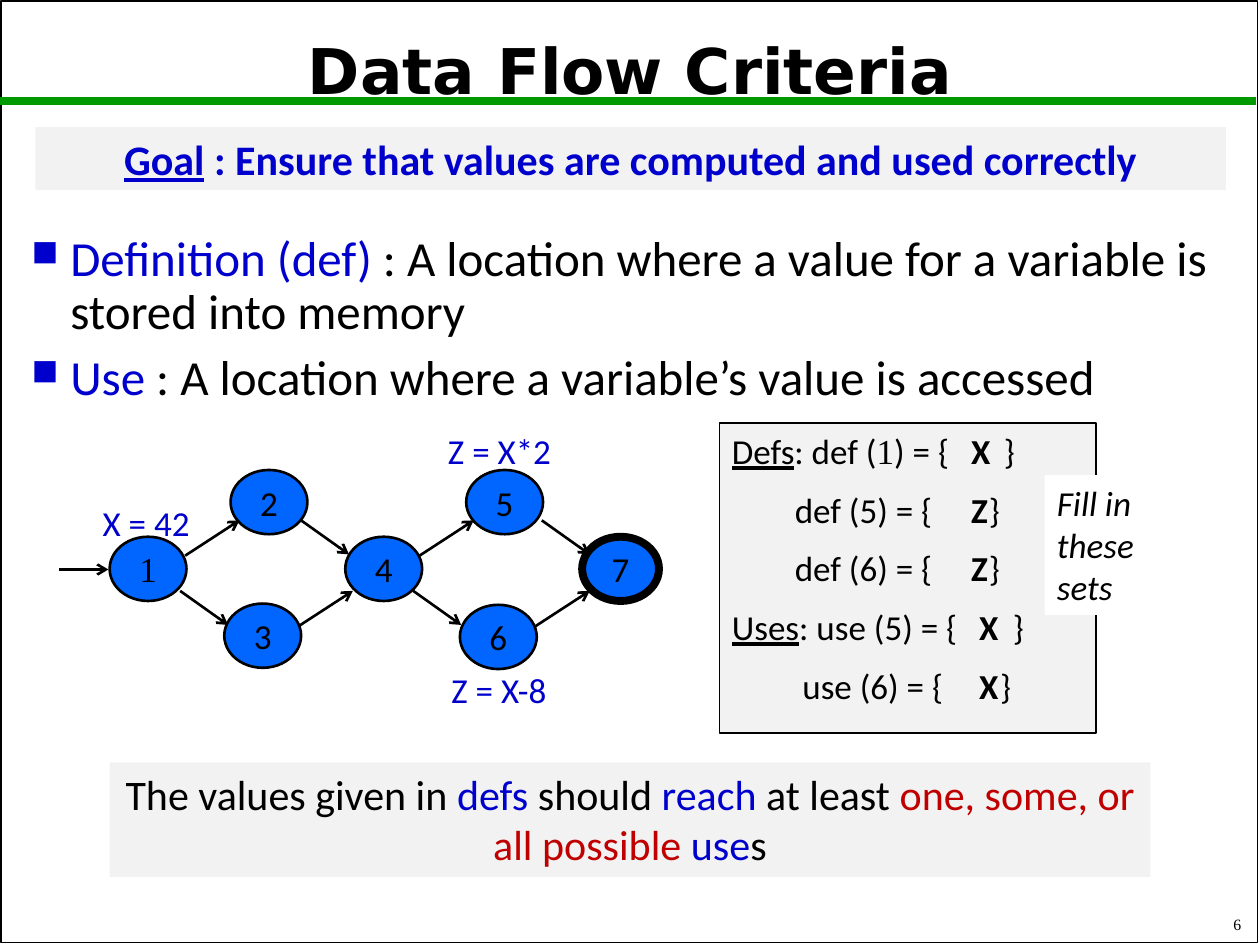
import pptx
import pptx.util
import pptx.dml.color
import pptx.enum.shapes
import pptx.enum.text
import pptx.oxml
import pptx.oxml.ns
from pptx.util import Inches

HUES = {"ink": "000000", "blue": "0000CC", "red": "C00000", "green": "009900",
        "node": "0066FF", "panel": "F2F2F2", "white": "FFFFFF"}
ALIGN = pptx.enum.text.PP_ALIGN
ANCHOR = pptx.enum.text.MSO_ANCHOR
SHAPE = pptx.enum.shapes.MSO_SHAPE
LINK = pptx.enum.shapes.MSO_CONNECTOR


class Deck:
    """Hold the text style and the current slide, and draw its elements."""

    def __init__(self, wide, high, font):
        self.show = pptx.Presentation()
        self.show.slide_width = Inches(wide)
        self.show.slide_height = Inches(high)
        self.slide = self.show.slides.add_slide(self.show.slide_layouts[6])
        self.font = font

    def tint(self, name):
        return pptx.dml.color.RGBColor.from_string(HUES[name])

    def node(self, tag, **attrs):
        item = pptx.oxml.parse_xml(f"<a:{tag} {pptx.oxml.ns.nsdecls('a')}/>")
        for key, value in attrs.items():
            item.set(key, str(value))
        return item

    def label(self, shape, rows, size, align=ALIGN.LEFT, anchor=ANCHOR.TOP,
              gap=0, lead=None, wrap=True, bullet=False, tabs=()):
        frame = shape.text_frame
        frame.word_wrap = wrap
        frame.vertical_anchor = anchor
        for i, row in enumerate(rows):
            para = frame.add_paragraph() if i else frame.paragraphs[0]
            para.alignment = align
            if i and gap:
                para.space_before = pptx.util.Pt(gap)
            if lead:
                para.line_spacing = lead
            props = para._p.get_or_add_pPr()
            if bullet:
                props.set("marL", str(Inches(0.31)))
                props.set("indent", str(-Inches(0.31)))
                props.append(self.node("buSzPct", val=75000))
                props.append(self.node("buChar", char="■"))
            if tabs:
                stops = self.node("tabLst")
                for stop in tabs[i]:
                    stops.append(self.node("tab", pos=Inches(stop), algn="l"))
                props.append(stops)
            for text, hue, flags, *face in row:
                run = para.add_run()
                run.text = text
                run.font.name = face[0] if face else self.font
                run.font.size = pptx.util.Pt(size)
                run.font.color.rgb = self.tint(hue)
                run.font.bold = "b" in flags
                run.font.italic = "i" in flags
                run.font.underline = "u" in flags

    def text(self, box, rows, size, **style):
        shape = self.slide.shapes.add_textbox(*map(Inches, box))
        self.label(shape, rows, size, **style)

    def shape(self, kind, box, fill=None, line=0):
        shape = self.slide.shapes.add_shape(kind, *map(Inches, box))
        shape.shadow.inherit = False
        if fill:
            shape.fill.solid()
            shape.fill.fore_color.rgb = self.tint(fill)
        else:
            shape.fill.background()
        if line:
            shape.line.color.rgb = self.tint("ink")
            shape.line.width = pptx.util.Pt(line)
        else:
            shape.line.fill.background()
        return shape

    def panel(self, box, rows, size, fill="panel", line=0, **style):
        self.label(self.shape(SHAPE.RECTANGLE, box, fill, line), rows, size, **style)

    def state(self, left, top, row, line):
        shape = self.shape(SHAPE.OVAL, (left, top, 0.61, 0.51), "node", line)
        self.label(shape, [row], 20, align=ALIGN.CENTER,
                   anchor=ANCHOR.MIDDLE, wrap=False)

    def line(self, left, top, dx, dy, hue="ink", width=1.5, arrow=True):
        ends = map(Inches, (left, top, left + dx, top + dy))
        link = self.slide.shapes.add_connector(LINK.STRAIGHT, *ends)
        link.line.color.rgb = self.tint(hue)
        link.line.width = pptx.util.Pt(width)
        if arrow:
            link.line._get_or_add_ln().append(self.node("tailEnd", type="arrow"))
        link._element.spPr.append(self.node("effectLst"))


def main():
    deck = Deck(10, 7.5, "Calibri")
    serif = "Times New Roman"
    mid = ALIGN.CENTER

    deck.shape(SHAPE.RECTANGLE, (0.01, 0.01, 9.97, 7.47), line=1)
    deck.line(0, 0.8, 9.97, 0, "green", 4.5, False)
    deck.text((7.87, 7.17, 2.08, 0.29), [[("6", "ink", "", serif)]], 9,
              align=ALIGN.RIGHT, anchor=ANCHOR.BOTTOM)
    deck.text((0.05, 0.11, 9.9, 0.95),
              [[("Data Flow Criteria", "ink", "b", "DejaVu Sans")]], 36,
              align=mid, anchor=ANCHOR.MIDDLE, lead=0.9)
    deck.text((0.15, 1.81, 9.7, 1.49), [
        [("Definition (def) ", "blue", ""),
         (": A location where a value for a variable is stored into memory", "ink", "")],
        [("Use ", "blue", ""),
         (": A location where a variable’s value is accessed", "ink", "")],
    ], 28, gap=7.5, lead=0.9, bullet=True)
    deck.panel((0.28, 1.01, 9.45, 0.5), [
        [("Goal", "blue", "bu"),
         (" : Ensure that values are computed and used correctly", "blue", "b")],
    ], 24, align=mid)

    states = {"1": (0.87, 4.26), "2": (1.83, 3.73), "3": (1.78, 4.79),
              "4": (2.74, 4.26), "5": (3.7, 3.73), "6": (3.65, 4.8),
              "7": (4.62, 4.26)}
    for name, (left, top) in states.items():
        face = serif if name == "1" else deck.font
        deck.state(left, top, [(name, "ink", "", face)], 4.5 if name == "7" else 1.5)

    deck.line(0.47, 4.52, 0.39, 0)
    for left, top in ((1.47, 4.41), (2.37, 4.97), (3.33, 4.41), (4.25, 4.97)):
        deck.line(left, top, 0.43, -0.28)
    for left, top in ((1.43, 4.69), (2.39, 4.13), (3.28, 4.69), (4.3, 4.13)):
        deck.line(left, top, 0.38, 0.27)

    labels = (("X = 42", 0.6, 3.93, 1.12), ("Z = X-8", 3.4, 5.26, 1.12),
              ("Z = X*2", 3.31, 3.36, 1.31))
    for label, left, top, wide in labels:
        deck.text((left, top, wide, 0.43), [[(label, "blue", "")]], 20, align=mid)

    deck.panel((5.71, 3.36, 2.99, 2.46), [
        [("Defs", "ink", "u"), (": def (", "ink", ""),
         ("1", "ink", "", serif), (") = {\t}", "ink", "")],
        [("\tdef (5) = {\t}", "ink", "")],
        [("\tdef (6) = {\t}", "ink", "")],
        [("Uses", "ink", "u"), (": use (5) = {\t}", "ink", "")],
        [("\tuse (6) = {\t}", "ink", "")],
    ], 20, line=1, gap=9.5,
        tabs=((2.16,), (0.5, 2.04), (0.5, 2.04), (2.23,), (0.56, 2.13)))
    deck.panel((0.87, 6.05, 8.26, 0.91), [
        [("The values given in ", "ink", ""), ("defs ", "blue", ""),
         ("should ", "ink", ""), ("reach ", "blue", ""), ("at least ", "ink", ""),
         ("one, some, or all possible ", "red", ""), ("use", "blue", ""),
         ("s", "ink", "")],
    ], 24, align=mid)
    deck.text((7.61, 3.36, 0.71, 2.46),
              [[(name, "ink", "b")] for name in ("X", "Z", "Z", " X", " X")],
              20, gap=9.5)
    deck.panel((8.29, 3.77, 0.83, 1.11),
               [[("Fill in these sets", "ink", "i")]], 20, fill="white")
    deck.show.save("out.pptx")


if __name__ == "__main__":
    main()
